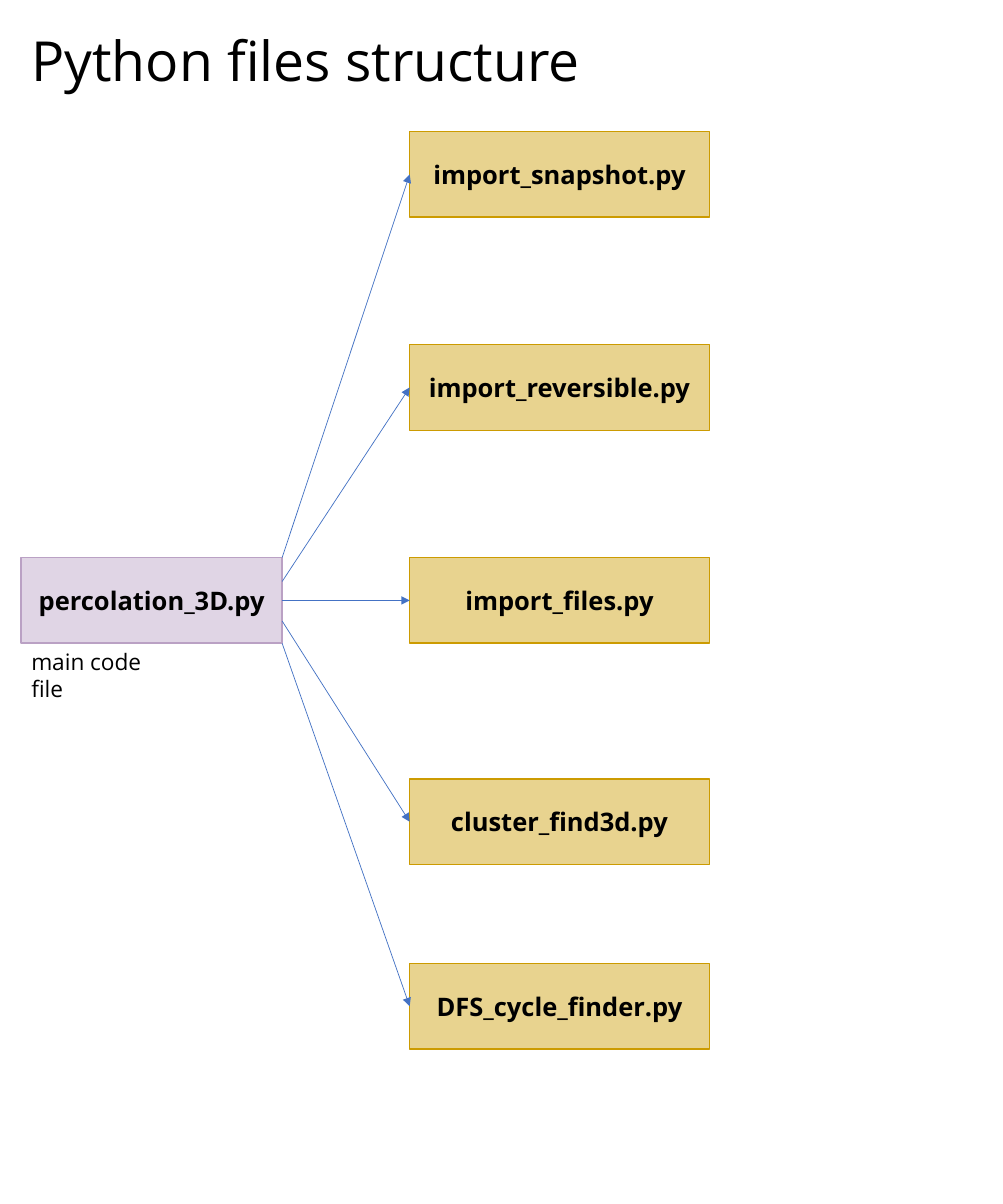
from lxml import etree
from pptx import Presentation
from pptx.dml.color import RGBColor
from pptx.enum import shapes, text
from pptx.oxml import ns
from pptx.util import Pt

COLOURS = {"ink": "000000", "main": "BAA1C4", "module": "CC9B01", "arrow": "4472C4"}
FONT = "Open Sans"
OPACITY = 44
BOX_HEIGHT = 60.5
MAIN_BOX = (15, 393.8, 184.3, BOX_HEIGHT)
MODULE_LEFT, MODULE_WIDTH = 289.4, 211.7
# Module name, top of its box, and how far down the main box its arrow starts
MODULES = [
    ("import_snapshot.py", 92.9, 0),
    ("import_reversible.py", 243.4, 0.28),
    ("import_files.py", 393.8, 0.5),
    ("cluster_find3d.py", 550.1, 0.74),
    ("DFS_cycle_finder.py", 680.4, 1),
]


def colour(name):
    """Return the named colour."""
    return RGBColor.from_string(COLOURS[name])


def write(frame, words, size, bold=False, align=text.PP_ALIGN.LEFT):
    """Put one formatted paragraph in a text frame and return it."""
    frame.text = words
    paragraph = frame.paragraphs[0]
    paragraph.alignment = align
    for span in paragraph.runs:
        span.font.name = FONT
        span.font.size = Pt(size)
        span.font.bold = bold
        span.font.color.rgb = colour("ink")
    return paragraph


def add_title(page, words, bounds):
    """Place and format the title placeholder."""
    title = page.shapes.title
    title.left, title.top, title.width, title.height = map(Pt, bounds)
    frame = title.text_frame
    frame.auto_size = text.MSO_AUTO_SIZE.NONE
    frame.vertical_anchor = text.MSO_ANCHOR.MIDDLE
    write(frame, words, 39).line_spacing = 0.9


def add_file_box(page, words, bounds, shade):
    """Draw a tinted box that holds a file name."""
    box = page.shapes.add_shape(shapes.MSO_SHAPE.RECTANGLE, *map(Pt, bounds))
    box.shadow.inherit = False
    box.fill.solid()
    box.fill.fore_color.rgb = colour(shade)
    tint = box.element.spPr.find(ns.qn("a:solidFill")).find(ns.qn("a:srgbClr"))
    etree.SubElement(tint, ns.qn("a:alpha"), val=str(OPACITY * 1000))
    box.line.color.rgb = colour(shade)
    box.line.width = Pt(1)
    box.text_frame.vertical_anchor = text.MSO_ANCHOR.MIDDLE
    box.text_frame.word_wrap = True
    write(box.text_frame, words, 18, True, text.PP_ALIGN.CENTER)
    return box


def add_caption(page, words, bounds):
    """Add a plain label that does not wrap."""
    box = page.shapes.add_textbox(*map(Pt, bounds))
    box.text_frame.word_wrap = False
    box.text_frame.auto_size = text.MSO_AUTO_SIZE.SHAPE_TO_FIT_TEXT
    write(box.text_frame, words, 16)


def add_arrow(page, source, target, share):
    """Join the right edge of source, at a share of its height, to target's left."""
    start = source.left + source.width, source.top + int(source.height * share)
    end = target.left, target.top + target.height // 2
    arrow = page.shapes.add_connector(shapes.MSO_CONNECTOR.STRAIGHT, *start, *end)
    arrow.end_connect(target, 1)
    arrow.line.color.rgb = colour("arrow")
    arrow.line.width = Pt(0.5)
    outline = arrow.element.spPr.find(ns.qn("a:ln"))
    etree.SubElement(outline, ns.qn("a:tailEnd"), type="triangle")
    etree.SubElement(arrow.element.spPr, ns.qn("a:effectLst"))


def add_structure(page, bounds):
    """Draw the main file in its box and the modules it imports."""
    left, top, width, height = bounds
    main = add_file_box(page, "percolation_3D.py", bounds, "main")
    add_caption(page, "main code file", (left, top + height - 0.5, 118, 26.6))
    for name, module_top, share in MODULES:
        place = (MODULE_LEFT, module_top, MODULE_WIDTH, BOX_HEIGHT)
        module = add_file_box(page, name, place, "module")
        add_arrow(page, main, module, share)


def build():
    """Build the deck and save it."""
    deck = Presentation()
    deck.slide_width, deck.slide_height = Pt(708.5), Pt(850.3)
    page = deck.slides.add_slide(deck.slide_layouts.get_by_name("Title Only"))
    add_title(page, "Python files structure", (15, 22.3, 432.7, 44.6))
    add_structure(page, MAIN_BOX)
    deck.save("out.pptx")


build()
